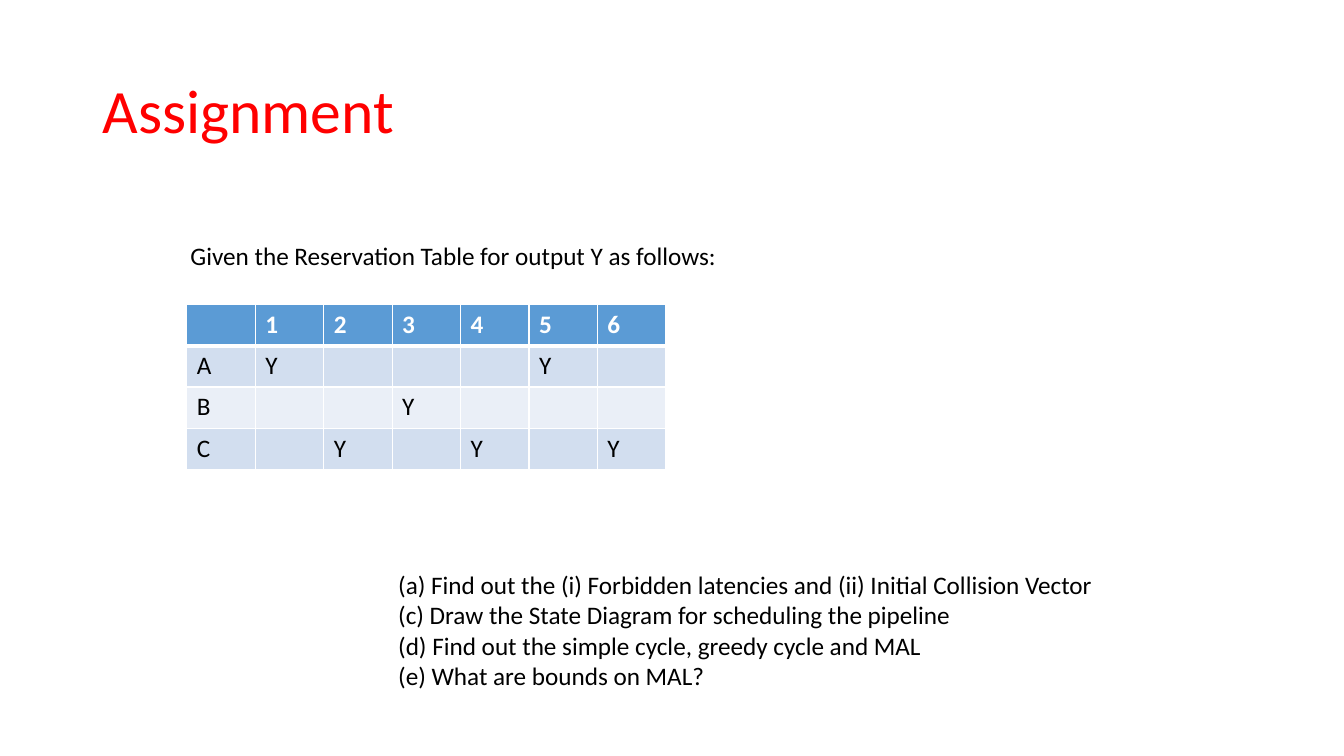
import pptx
import pptx.dml.color
import pptx.enum.text
import pptx.oxml
import pptx.oxml.ns
import pptx.util
from dataclasses import dataclass
from pptx.util import Cm


@dataclass(frozen=True)
class Theme:
    font: str = "Calibri"
    title_size: int = 44
    text_size: int = 18
    title: str = "FF0000"
    text: str = "000000"
    header_text: str = "FFFFFF"
    header_fill: str = "5B9BD5"
    bands: tuple = ("D2DEEF", "EAEFF7")
    border: str = "FFFFFF"


theme = Theme()


def style(paragraph, size, color, bold=False):
    paragraph.font.name = theme.font
    paragraph.font.size = pptx.util.Pt(size)
    paragraph.font.bold = bold
    paragraph.font.color.rgb = pptx.dml.color.RGBColor.from_string(color)
    paragraph.alignment = pptx.enum.text.PP_ALIGN.LEFT


def add_border(cell, side, points):
    cell._tc.get_or_add_tcPr().append(pptx.oxml.parse_xml(
        f'<a:{side} {pptx.oxml.ns.nsdecls("a")} w="{pptx.util.Pt(points)}">'
        f'<a:solidFill><a:srgbClr val="{theme.border}"/></a:solidFill></a:{side}>'))


presentation = pptx.Presentation()
presentation.slide_width = Cm(33.87)
presentation.slide_height = Cm(19.05)
slide = presentation.slides.add_slide(presentation.slide_layouts[1])

# Title
title = slide.shapes.title
title.left, title.top, title.width, title.height = Cm(2.33), Cm(1.01), Cm(29.21), Cm(3.68)
title.text_frame.text = "Assignment"
title.text_frame.vertical_anchor = pptx.enum.text.MSO_ANCHOR.MIDDLE
title.text_frame.paragraphs[0].line_spacing = 0.9
style(title.text_frame.paragraphs[0], theme.title_size, theme.title)

# Reservation table: the time steps in which each stage is busy
steps = range(1, 7)
stages = {"A": (1, 5), "B": (3,), "C": (2, 4, 6)}
rows = [["", *map(str, steps)]]
for stage, busy in stages.items():
    rows.append([stage, *("Y" if step in busy else "" for step in steps)])

reservation = slide.shapes.add_table(
    len(rows), len(rows[0]), Cm(4.71), Cm(7.67), Cm(12.07), Cm(4.16)).table
for row, values in enumerate(rows):
    is_header = row == 0
    fill = theme.header_fill if is_header else theme.bands[(row - 1) % 2]
    for column, value in enumerate(values):
        cell = reservation.cell(row, column)
        cell.text = value
        style(cell.text_frame.paragraphs[0], theme.text_size,
              theme.header_text if is_header else theme.text, is_header)
        for side in ("lnL", "lnR", "lnT", "lnB"):
            under_header = (row, side) in ((0, "lnB"), (1, "lnT"))
            add_border(cell, side, 3 if under_header else 1)
        cell.fill.solid()
        cell.fill.fore_color.rgb = pptx.dml.color.RGBColor.from_string(fill)

# Introduction
intro = slide.shapes.add_textbox(Cm(4.55), Cm(5.94), Cm(13.92), Cm(1.03)).text_frame
intro.word_wrap = True
intro.text = "Given the Reservation Table for output Y as follows:"
style(intro.paragraphs[0], theme.text_size, theme.text)

# Questions
questions = slide.placeholders[1]
questions.left, questions.top, questions.width, questions.height = (
    Cm(9.78), Cm(14.22), Cm(18.24), Cm(3.33))
questions.text_frame.text = "\n".join((
    "(a) Find out the (i) Forbidden latencies and (ii) Initial Collision Vector",
    "(c) Draw the State Diagram for scheduling the pipeline",
    "(d) Find out the simple cycle, greedy cycle and MAL",
    "(e) What are bounds on MAL?",
))
questions.text_frame.auto_size = pptx.enum.text.MSO_AUTO_SIZE.NONE
for question in questions.text_frame.paragraphs:
    style(question, theme.text_size, theme.text)
    question.space_before = pptx.util.Pt(0)
    question.line_spacing = 1.0
    properties = question._p.get_or_add_pPr()
    properties.set("marL", "0")
    properties.set("indent", "0")
    no_bullet = pptx.oxml.parse_xml(f'<a:buNone {pptx.oxml.ns.nsdecls("a")}/>')
    properties.insert_element_before(no_bullet, "a:tabLst", "a:defRPr", "a:extLst")

presentation.save("out.pptx")
